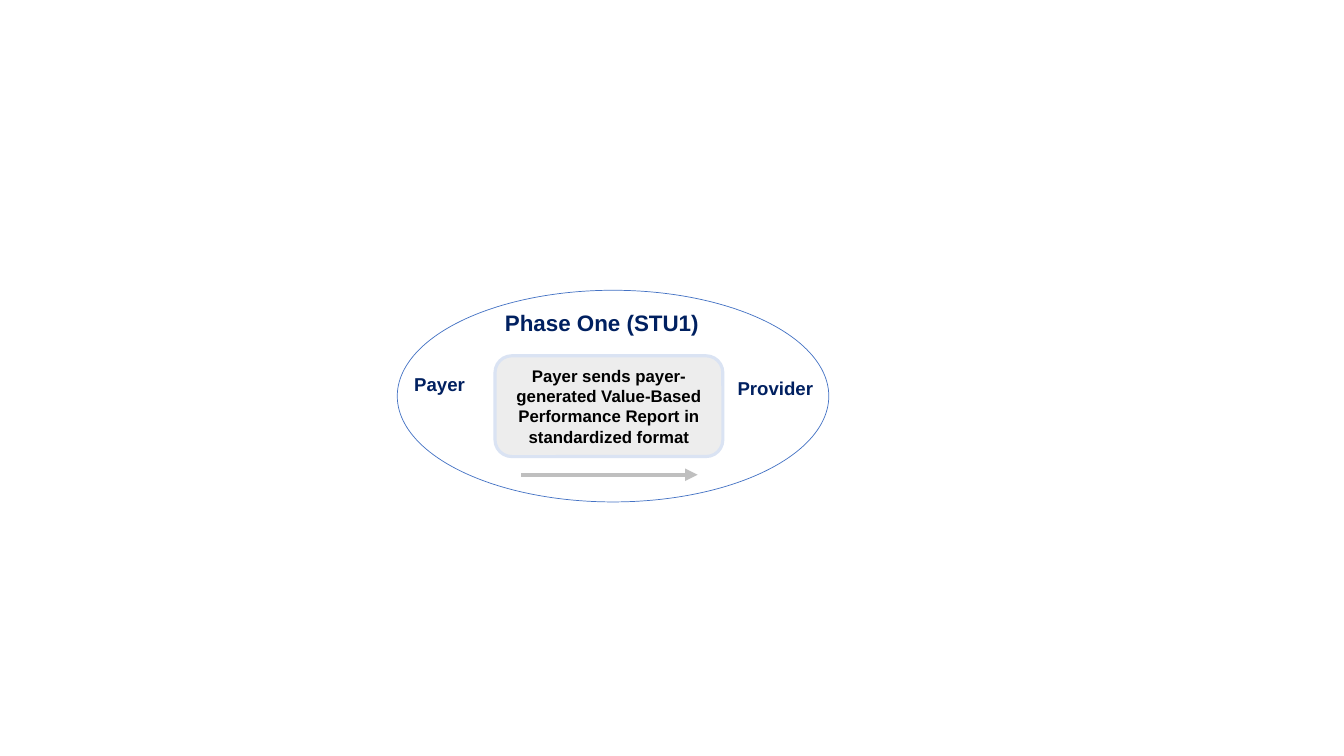
import pptx
import pptx.dml.color
import pptx.enum.shapes
import pptx.enum.text
import pptx.oxml.ns
import pptx.util
from lxml import etree
from pptx.util import Inches

COLORS = {
    "navy": "002060",
    "black": "000000",
    "report_fill": "EDEDED",
    "report_line": "DAE3F3",
    "phase_line": "4472C4",
    "arrow": "BFBFBF",
}
SHAPES = pptx.enum.shapes.MSO_SHAPE
ALIGN = pptx.enum.text.PP_ALIGN


def rgb(name):
    return pptx.dml.color.RGBColor.from_string(COLORS[name])


def write_text(shape, text, size=13.3, color="navy", align=ALIGN.CENTER, wrap=True):
    frame = shape.text_frame
    frame.word_wrap = wrap
    paragraph = frame.paragraphs[0]
    paragraph.alignment = align
    run = paragraph.add_run()
    run.text = text
    run.font.name = "Arial"
    run.font.size = pptx.util.Pt(size)
    run.font.bold = True
    run.font.color.rgb = rgb(color)


def set_line(shape, color, width):
    shape.line.color.rgb = rgb(color)
    shape.line.width = pptx.util.Pt(width)


def add_outlined_shape(slide, kind, box, line, width, fill=None):
    shape = slide.shapes.add_shape(kind, *map(Inches, box))
    shape.shadow.inherit = False
    if fill:
        shape.fill.solid()
        shape.fill.fore_color.rgb = rgb(fill)
    else:
        shape.fill.background()
    set_line(shape, line, width)
    return shape


def add_label(slide, text, box, **text_format):
    label = slide.shapes.add_textbox(*map(Inches, box))
    write_text(label, text, **text_format)
    label.text_frame.auto_size = pptx.enum.text.MSO_AUTO_SIZE.SHAPE_TO_FIT_TEXT


def add_arrow(slide, start, end, color, width):
    arrow = slide.shapes.add_connector(
        pptx.enum.shapes.MSO_CONNECTOR.STRAIGHT, *map(Inches, start + end))
    set_line(arrow, color, width)
    qn = pptx.oxml.ns.qn
    etree.SubElement(arrow.line._get_or_add_ln(), qn("a:tailEnd"), type="triangle")
    etree.SubElement(arrow._element.spPr, qn("a:effectLst"))


def main():
    presentation = pptx.Presentation()
    presentation.slide_width = Inches(13.33)
    presentation.slide_height = Inches(7.5)
    slide = presentation.slides.add_slide(presentation.slide_layouts[6])

    # Report passed from payer to provider
    report = add_outlined_shape(slide, SHAPES.ROUNDED_RECTANGLE, (4.91, 3.53, 2.26, 1),
                                "report_line", 2.25, fill="report_fill")
    write_text(report, "Payer sends payer-generated Value-Based Performance Report "
                       "in standardized format", size=12, color="black")
    add_arrow(slide, (5.17, 4.71), (6.92, 4.71), "arrow", 3)

    # Phase boundary
    add_outlined_shape(slide, SHAPES.OVAL, (3.94, 2.88, 4.28, 2.1), "phase_line", 0.5)

    # Phase title and the two parties
    add_label(slide, "Phase One (STU1)", (4.91, 3.02, 2.15, 0.37),
              size=16, align=ALIGN.LEFT, wrap=False)
    add_label(slide, "Payer", (3.67, 3.65, 1.38, 0.33))
    add_label(slide, "Provider", (7, 3.69, 1.38, 0.33))

    presentation.save("out.pptx")


if __name__ == "__main__":
    main()
